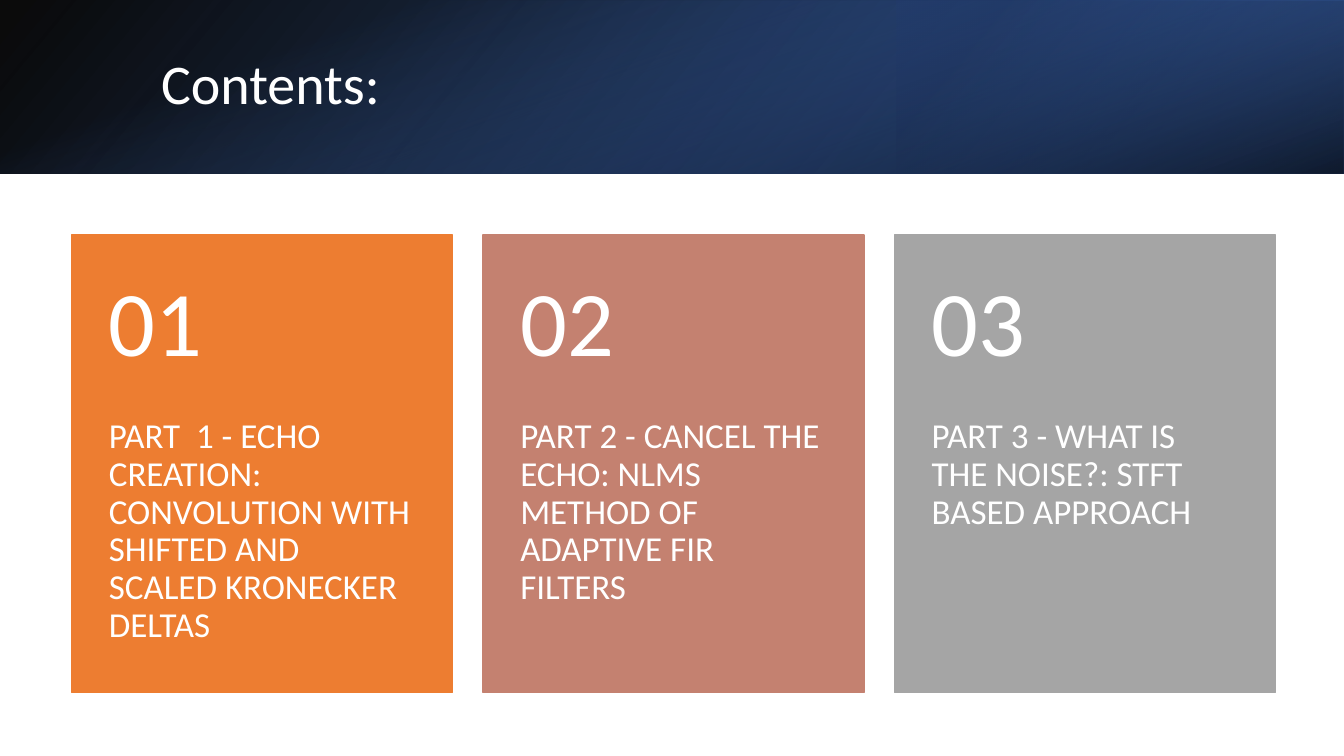
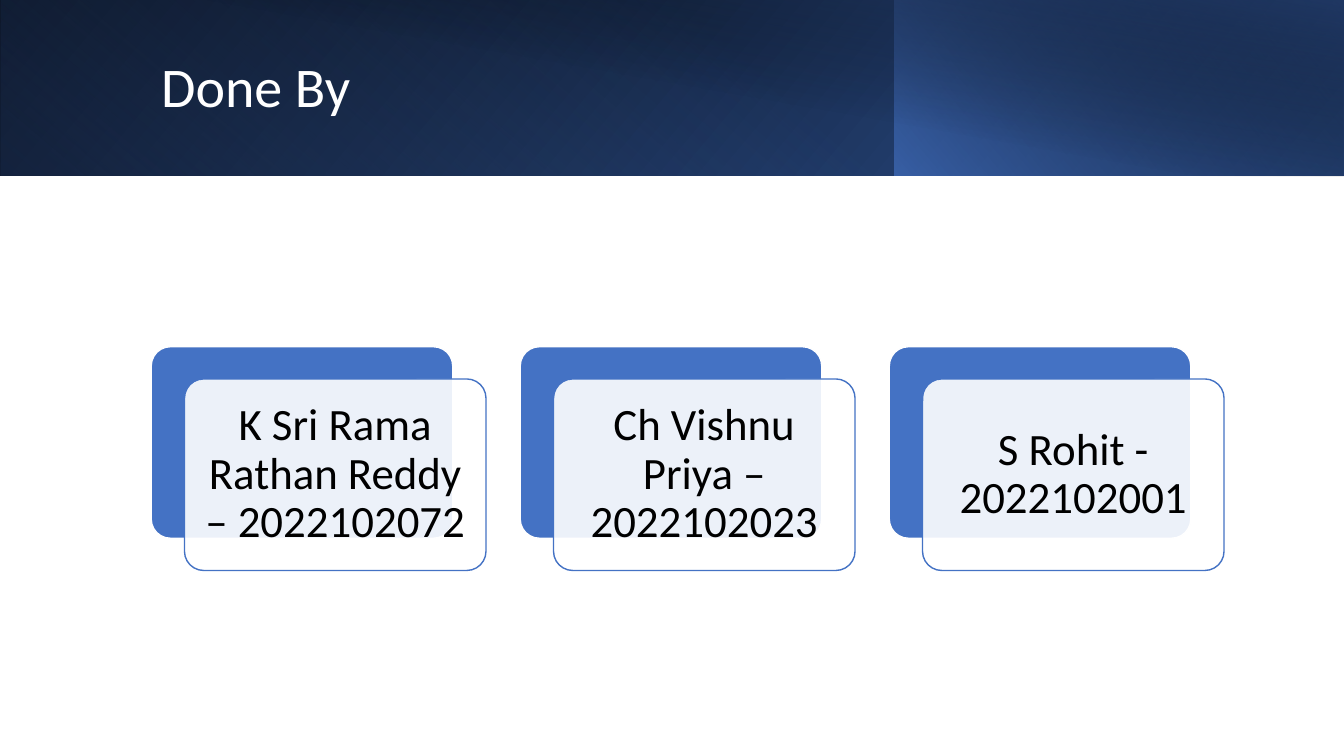
from lxml.etree import SubElement
from pptx import Presentation
from pptx.dml.color import RGBColor as Rgb
from pptx.enum.shapes import MSO_SHAPE as Kind
from pptx.enum.text import MSO_ANCHOR as Anchor, PP_ALIGN as Align
from pptx.oxml import parse_xml
from pptx.oxml.ns import nsdecls, qn
from pptx.util import Pt

PX = 9144
WIDE, HIGH = 1333, 750
HUES = {
    "white": "FFFFFF",
    "black": "000000",
    "blue": "4472C4",
    "deep": "2F5597",
    "navy": "203864",
    "orange": "ED7D31",
    "rose": "C48170",
    "gray": "A5A5A5",
}


def hue(name):
    return Rgb.from_string(HUES[name])


def write(shape, text, size=25, color="white", align=Align.LEFT,
          anchor=Anchor.TOP, pad=(10, 5, 10, 5)):
    frame = shape.text_frame
    frame.word_wrap = True
    frame.vertical_anchor = anchor
    (frame.margin_left, frame.margin_top,
     frame.margin_right, frame.margin_bottom) = [n * PX for n in pad]
    para = frame.paragraphs[0]
    para.alignment = align
    para.line_spacing = 0.9
    run = para.add_run()
    run.text = text
    run.font.name = "Calibri"
    run.font.size = Pt(size)
    run.font.color.rgb = hue(color)


class Deck:
    def __init__(self):
        self.file = Presentation()
        self.file.slide_width = WIDE * PX
        self.file.slide_height = HIGH * PX
        self.slide = None

    def page(self, title, box, bands):
        self.slide = self.file.slides.add_slide(self.file.slide_layouts[6])
        for band in bands:
            self.band(**band)
        self.text(box, title, size=40, anchor=Anchor.MIDDLE)

    def text(self, box, text, **style):
        area = self.slide.shapes.add_textbox(*[n * PX for n in box])
        write(area, text, **style)

    def shape(self, box, kind=Kind.RECTANGLE, fill=None, line=None, alpha=100):
        item = self.slide.shapes.add_shape(kind, *[n * PX for n in box])
        item.shadow.inherit = False
        if kind == Kind.ROUNDED_RECTANGLE:
            item.adjustments[0] = 0.1
        if fill:
            item.fill.solid()
            item.fill.fore_color.rgb = hue(fill)
            if alpha < 100:
                tint = item.fill._xPr.find(".//" + qn("a:srgbClr"))
                SubElement(tint, qn("a:alpha")).set("val", str(alpha * 1000))
        else:
            item.fill.background()
        if line:
            item.line.color.rgb = hue(line)
            item.line.width = Pt(1)
        else:
            item.line.fill.background()
        return item

    def band(self, box, stops, angle, turn=0, flip=True):
        item = self.shape(box)
        item.rotation = turn
        props = item._element.spPr
        if flip:
            props.get_or_add_xfrm().set("flipH", "1")
        marks = "".join(
            f'<a:gs pos="{pos * 1000}"><a:srgbClr val="{HUES[name]}">'
            f'<a:alpha val="{alpha * 1000}"/></a:srgbClr></a:gs>'
            for pos, name, alpha in stops)
        blend = parse_xml(
            f'<a:gradFill {nsdecls("a")} rotWithShape="1"><a:gsLst>{marks}'
            f'</a:gsLst><a:lin ang="{angle * 60000}" scaled="0"/></a:gradFill>')
        props.replace(props.find(qn("a:noFill")), blend)

    def card(self, left, number, label, color):
        top, wide, head, body = 233, 378, 182, 272
        self.shape((left, top, wide, head + body), fill=color, line=color)
        self.text((left, top + head, wide, body), label, pad=(37, 0, 37, 36))
        self.text((left, top, wide, head), number, size=66,
                  anchor=Anchor.MIDDLE, pad=(37, 18, 37, 18))

    def badge(self, left, name):
        top, wide, high, shift = 344, 299, 190, 33
        kind = Kind.ROUNDED_RECTANGLE
        self.shape((left, top, wide, high), kind, "blue", "white")
        front = self.shape((left + shift, top + shift - 1, wide, high),
                           kind, "white", "blue", alpha=90)
        write(front, name, size=32, color="black", align=Align.CENTER,
              anchor=Anchor.MIDDLE, pad=(13, 13, 13, 13))


def main():
    deck = Deck()

    tall = 172
    mid = (WIDE - tall) // 2
    deck.page("Contents:", (150, 38, 1098, 96), [
        dict(box=(0, 0, WIDE, tall), angle=140,
             stops=[(0, "black", 96), (100, "deep", 100)]),
        dict(box=(889, 0, 444, tall), angle=320, turn=180,
             stops=[(19, "navy", 68), (100, "blue", 79)]),
        dict(box=(mid, -mid, tall, WIDE), angle=340, turn=90, flip=False,
             stops=[(23, "blue", 0), (99, "black", 74)]),
    ])
    parts = [
        ("PART  1 - ECHO CREATION: CONVOLUTION WITH SHIFTED AND SCALED "
         "KRONECKER DELTAS", "orange"),
        ("PART 2 - CANCEL THE ECHO: NLMS METHOD OF ADAPTIVE FIR FILTERS",
         "rose"),
        ("PART 3 - WHAT IS THE NOISE?: STFT BASED APPROACH", "gray"),
    ]
    for i, (label, color) in enumerate(parts):
        deck.card(71 + 408 * i, f"{i + 1:02}", label, color)

    tall = 174
    deck.page("Done By", (150, 32, 1082, 113), [
        dict(box=(0, 0, WIDE, tall), angle=140,
             stops=[(0, "black", 100), (100, "deep", 100)]),
        dict(box=(0, 0, 888, tall), angle=230, turn=180,
             stops=[(20, "blue", 0), (100, "navy", 55)]),
        dict(box=(887, 0, 446, tall), angle=220,
             stops=[(0, "blue", 66), (100, "black", 30)]),
        dict(box=(50, 0, 1283, tall + 1), angle=280, flip=False,
             stops=[(50, "black", 0), (99, "navy", 52)]),
    ])
    names = ["K Sri Rama Rathan Reddy – 2022102072",
             "Ch Vishnu Priya – 2022102023",
             "S Rohit - 2022102001"]
    for i, name in enumerate(names):
        deck.badge(150 + 366 * i, name)

    deck.file.save("out.pptx")


if __name__ == "__main__":
    main()
